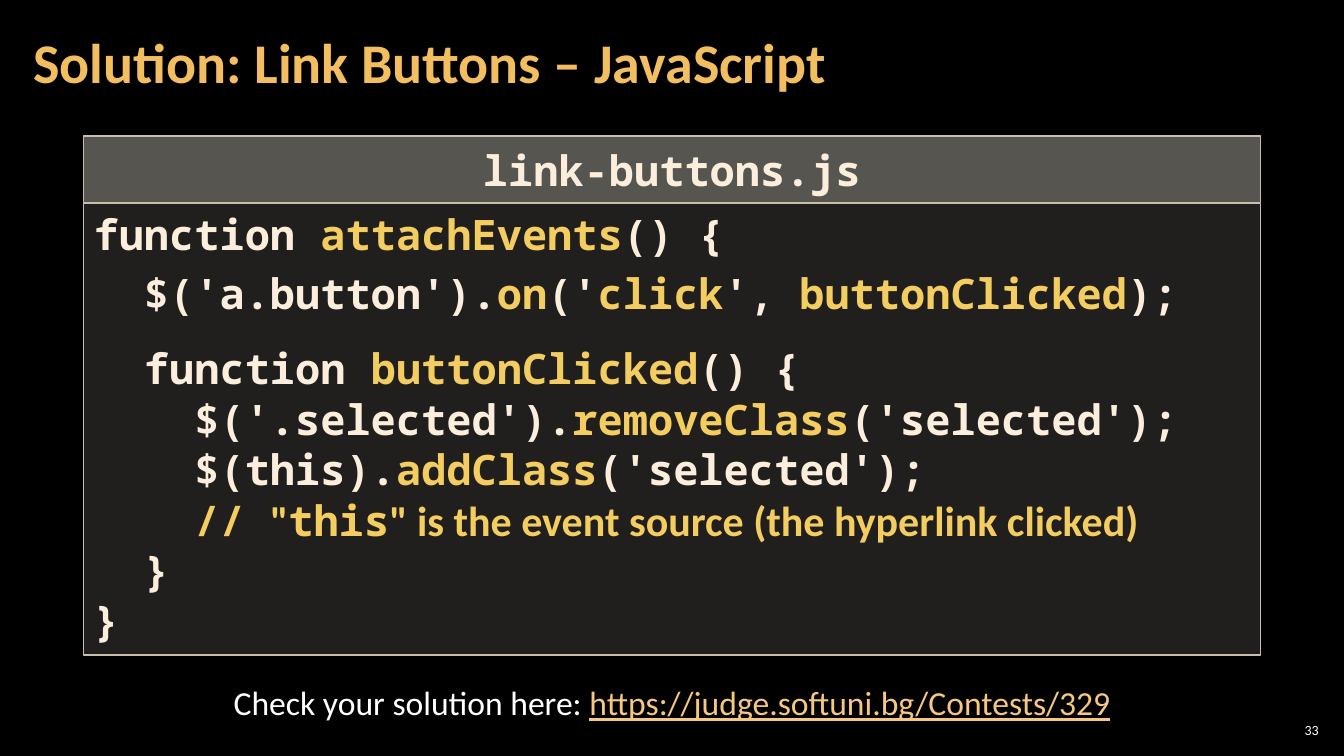
from lxml import etree
from pptx import Presentation
from pptx.dml.color import RGBColor as RGB
from pptx.enum.shapes import MSO_SHAPE as SHAPE
from pptx.enum.text import MSO_ANCHOR as ANCHOR, PP_ALIGN as ALIGN
from pptx.oxml.ns import qn
from pptx.util import Inches, Pt

COLORS = {"bg": "000000", "white": "FFFFFF", "title": "F3BE60", "panel": "D9D5C7",
          "border": "C7BFAC", "code": "FBEEDC", "accent": "F3CD60", "link": "F6C781"}
SANS, MONO = "Calibri", "Noto Sans Mono"


def set_box(sp, anchor=ANCHOR.TOP, inset_x=0.1, inset_y=0.05):
    tf = sp.text_frame
    tf.word_wrap = True
    tf.vertical_anchor = anchor
    tf.margin_left = tf.margin_right = Inches(inset_x)
    tf.margin_top = tf.margin_bottom = Inches(inset_y)
    return tf


def add_run(p, text, size, color, font=SANS, bold=False):
    r = p.add_run()
    r.text = text
    r.font.size, r.font.name, r.font.bold = Pt(size), font, bold
    r.font.color.rgb = RGB.from_string(COLORS[color])
    return r


prs = Presentation()
prs.slide_width, prs.slide_height = Inches(13.33), Inches(7.5)
s = prs.slides.add_slide(prs.slide_layouts[6])
s.background.fill.solid()
s.background.fill.fore_color.rgb = RGB.from_string(COLORS["bg"])

# Slide number
sp = s.shapes.add_textbox(Inches(12.65), Inches(7.14), Inches(0.47), Inches(0.21))
p = set_box(sp, ANCHOR.MIDDLE, 0.04, 0.04).paragraphs[0]
p.alignment = ALIGN.RIGHT
add_run(p, "33", 10, "white")

# Title
sp = s.shapes.add_textbox(Inches(0.21), Inches(0.04), Inches(10.47), Inches(1.21))
p = set_box(sp, ANCHOR.MIDDLE, 0.12, 0.04).paragraphs[0]
p.line_spacing = 0.9
add_run(p, "Solution: Link Buttons – JavaScript", 40, "title", bold=True)

# Code panels: file name, then body; runs alternate between plain and accent
file_name = [(0, ["link-buttons.js"])]
code = [
    (0, ["function ", "attachEvents", "() {"]),
    (6, ["  $('a.button').", "on", "('", "click", "', ", "buttonClicked", ");"]),
    (18, ["  function ", "buttonClicked", "() {"]),
    (0, ["    $('.selected').", "removeClass", "('selected');"]),
    (0, ["    $(this).", "addClass", "('selected');"]),
    (0, ["  ", "  // "]),
    (0, ["  }"]),
    (0, ["}"]),
]
comment_line = 5
panels = [(1.35, 0.66, 40, 0.08, ALIGN.CENTER, file_name),
          (2.02, 4.48, 15, 0.05, ALIGN.LEFT, code)]
for top, height, opacity, inset_y, align, lines in panels:
    sp = s.shapes.add_shape(SHAPE.RECTANGLE, Inches(0.83), Inches(top),
                            Inches(11.67), Inches(height))
    sp.shadow.inherit = False
    sp.fill.solid()
    sp.fill.fore_color.rgb = RGB.from_string(COLORS["panel"])
    clr = sp.fill._xPr.find(qn("a:solidFill"))[0]
    etree.SubElement(clr, qn("a:alpha")).set("val", str(opacity * 1000))
    sp.line.color.rgb = RGB.from_string(COLORS["border"])
    sp.line.width = Pt(1)
    tf = set_box(sp, inset_y=inset_y)
    for i, (before, parts) in enumerate(lines):
        p = tf.paragraphs[0] if i == 0 else tf.add_paragraph()
        p.alignment = align
        p.space_before = Pt(before)
        for j, text in enumerate(parts):
            add_run(p, text, 30, "accent" if j % 2 else "code", MONO, True)

# Comment in the code, set partly in the sans font
p = tf.paragraphs[comment_line]
for text, font in [('"', SANS), ("this", MONO),
                   ('" is the event source (the hyperlink clicked)', SANS)]:
    add_run(p, text, 30, "accent", font, True)

# Footer address
sp = s.shapes.add_textbox(Inches(0.89), Inches(6.72), Inches(11.55), Inches(0.5))
p = set_box(sp).paragraphs[0]
p.alignment = ALIGN.CENTER
add_run(p, "Check your solution here: ", 24, "white")
add_run(p, "https://judge.softuni.bg/Contests/329", 24, "link").font.underline = True

prs.save("out.pptx")
